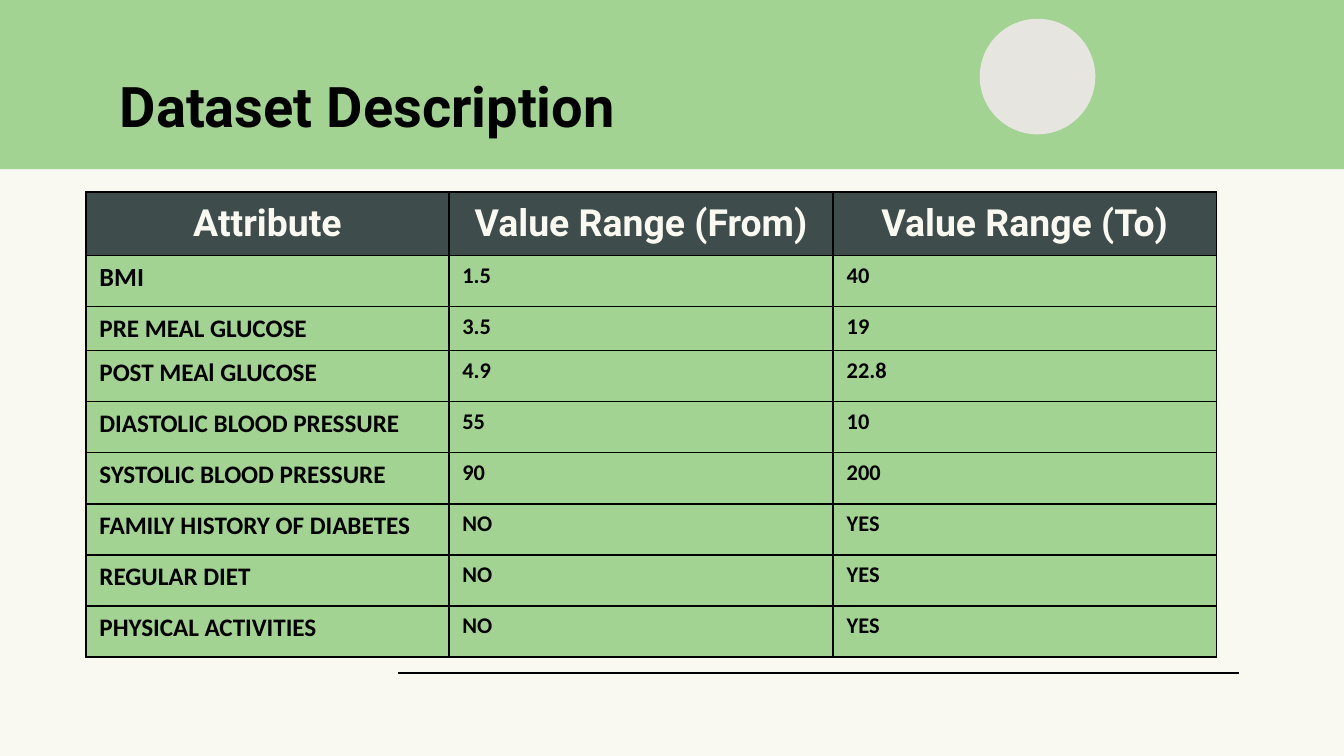
from lxml.etree import SubElement
from pptx import Presentation
from pptx.dml.color import RGBColor
from pptx.enum.shapes import MSO_CONNECTOR, MSO_SHAPE
from pptx.enum.text import MSO_ANCHOR, PP_ALIGN
from pptx.oxml.ns import qn
from pptx.util import Inches, Pt

GREEN = RGBColor(0xA3, 0xD3, 0x92)
CREAM = RGBColor(0xF9, 0xF9, 0xF1)
SLATE = RGBColor(0x3E, 0x4C, 0x4C)
STONE = RGBColor(0xE7, 0xE5, 0xE0)
BLACK = RGBColor(0, 0, 0)

HEADINGS = ("Attribute", "Value Range (From)", "Value Range (To)")
ATTRIBUTES = [
    ("BMI", "1.5", "40"),
    ("PRE MEAL GLUCOSE", "3.5", "19"),
    ("POST MEAl GLUCOSE", "4.9", "22.8"),
    ("DIASTOLIC BLOOD PRESSURE", "55", "10"),
    ("SYSTOLIC BLOOD PRESSURE", "90", "200"),
    ("FAMILY HISTORY OF DIABETES", "NO", "YES"),
    ("REGULAR DIET", "NO", "YES"),
    ("PHYSICAL ACTIVITIES", "NO", "YES"),
]
COLUMN_WIDTHS = (2.7, 2.86, 2.85)
ROW_HEIGHTS = (0.47, 0.38, 0.32) + (0.38,) * 6


def add_run(paragraph, text, font_name, size, color):
    run = paragraph.add_run()
    run.text = text
    run.font.name = font_name
    run.font.size = Pt(size)
    run.font.bold = True
    run.font.color.rgb = color


def add_borders(cell):
    properties = cell._tc.get_or_add_tcPr()
    for position, side in enumerate(("lnL", "lnR", "lnT", "lnB")):
        border = properties.makeelement(qn(f"a:{side}"), {"w": str(Pt(1))})
        fill = SubElement(border, qn("a:solidFill"))
        SubElement(fill, qn("a:srgbClr"), val=str(BLACK))
        properties.insert(position, border)


# Widescreen slide and background
prs = Presentation()
prs.slide_width = Inches(10)
prs.slide_height = prs.slide_width * 9 // 16
slide = prs.slides.add_slide(prs.slide_layouts[5])
slide.background.fill.solid()
slide.background.fill.fore_color.rgb = CREAM

# Header band and circle
for preset, left, top, width, height, color in (
    (MSO_SHAPE.RECTANGLE, 0, 0, 10, 1.26, GREEN),
    (MSO_SHAPE.OVAL, 7.29, 0.14, 0.86, 0.86, STONE),
):
    decoration = slide.shapes.add_shape(
        preset, Inches(left), Inches(top), Inches(width), Inches(height))
    decoration.shadow.inherit = False
    decoration.fill.solid()
    decoration.fill.fore_color.rgb = color
    decoration.line.fill.background()

# Footer rule
footer_rule = slide.shapes.add_connector(
    MSO_CONNECTOR.STRAIGHT, Inches(2.96), Inches(5.01), Inches(9.22), Inches(5.01))
footer_rule.line.color.rgb = BLACK
footer_rule.line.width = Pt(1)
SubElement(footer_rule._element.spPr, qn("a:effectLst"))

# Title, brought in front of the band
title = slide.shapes.title
title.left, title.top = Inches(0.79), Inches(0.6)
title.width, title.height = Inches(8.42), Inches(0.43)
title.text_frame.vertical_anchor = MSO_ANCHOR.MIDDLE
heading = title.text_frame.paragraphs[0]
heading.alignment = PP_ALIGN.LEFT
heading.line_spacing = 0.9
add_run(heading, "Dataset Description", "Roboto", 30, BLACK)
slide.shapes._spTree.append(title._element)

# Attribute table
table = slide.shapes.add_table(
    len(ROW_HEIGHTS), len(COLUMN_WIDTHS), Inches(0.64), Inches(1.43),
    Inches(sum(COLUMN_WIDTHS)), Inches(sum(ROW_HEIGHTS))).table
for column, width in zip(table.columns, COLUMN_WIDTHS):
    column.width = Inches(width)
for row, height in zip(table.rows, ROW_HEIGHTS):
    row.height = Inches(height)

for row_index, values in enumerate([HEADINGS] + ATTRIBUTES):
    for column_index, value in enumerate(values):
        cell = table.cell(row_index, column_index)
        paragraph = cell.text_frame.paragraphs[0]
        cell.fill.solid()
        if row_index == 0:
            cell.fill.fore_color.rgb = SLATE
            cell.vertical_anchor = MSO_ANCHOR.MIDDLE
            paragraph.alignment = PP_ALIGN.CENTER
            add_run(paragraph, value, "Roboto", 20, CREAM)
        else:
            cell.fill.fore_color.rgb = GREEN
            label_size = 14 if row_index == 1 else 13.5
            size = label_size if column_index == 0 else 12
            add_run(paragraph, value, "Calibri", size, BLACK)
        add_borders(cell)

prs.save("out.pptx")
